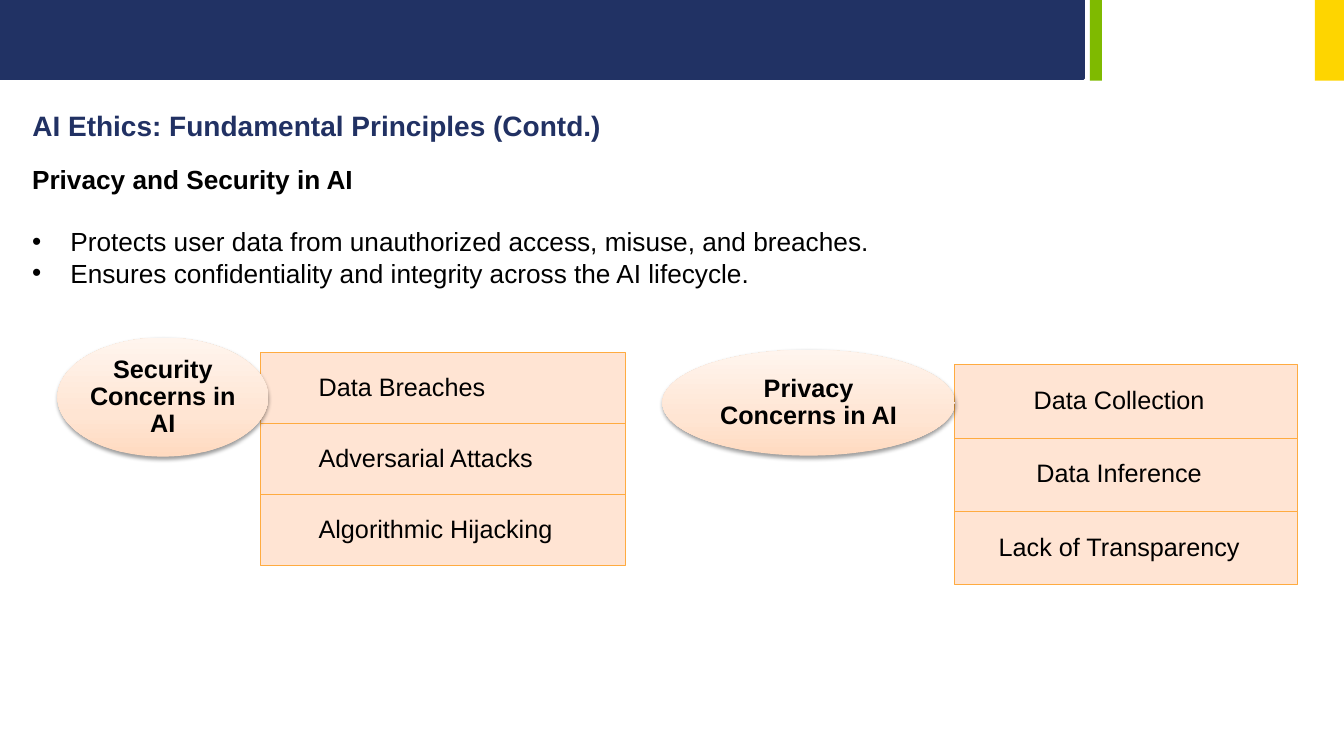
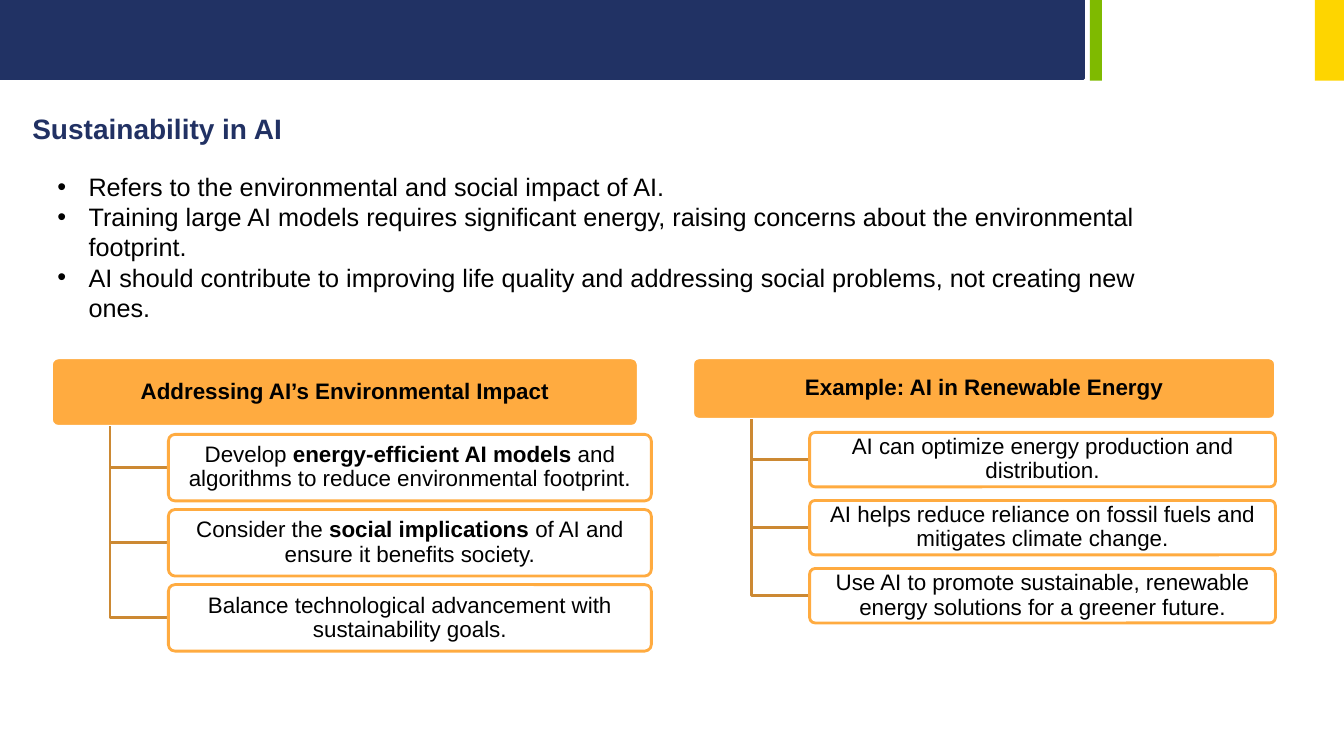
import pptx
import pptx.dml.color
import pptx.enum.shapes
import pptx.enum.text
import pptx.oxml.ns
import pptx.util
from dataclasses import dataclass
from lxml import etree

Inches, Pt = pptx.util.Inches, pptx.util.Pt
qn = pptx.oxml.ns.qn
SHAPE = pptx.enum.shapes.MSO_SHAPE
ALIGN = pptx.enum.text.PP_ALIGN
ANCHOR = pptx.enum.text.MSO_ANCHOR


@dataclass(frozen=True)
class Theme:
    font: str = "Arial"
    navy: str = "213264"
    title: str = "213163"
    green: str = "7FBA00"
    yellow: str = "FED500"
    orange: str = "FFAB40"
    branch: str = "CC8933"
    peach: str = "FFE2CF"
    white: str = "FFFFFF"
    black: str = "000000"
    oval_stops: tuple = ((0, "FFDAC0"), (35, "FFE5D3"), (100, "FFF5EE"))
    title_size: float = 20
    lead_size: float = 18.7
    body_size: float = 18
    card_size: float = 16


THEME = Theme()

# Content; boxes are left, top, width, height in inches
BANDS = [
    ((0, 0, 10.75, 0.78), THEME.navy, THEME.navy),
    ((10.81, 0, 0.12, 0.8), THEME.green, None),
    ((13.04, 0, 0.29, 0.8), THEME.yellow, None),
]

PRIVACY = {
    "title": "AI Ethics: Fundamental Principles (Contd.)",
    "title_box": (0.22, 1.03, 6.46, 0.44),
    "lead": "Privacy and Security in AI",
    "body_box": (0.22, 1.57, 11.34, 1.36),
    "indent": 0.38,
    "bullets": [
        "Protects user data from unauthorized access, misuse, and breaches.",
        "Ensures confidentiality and integrity across the AI lifecycle.",
    ],
    "concerns": [
        {"name": "Security Concerns in AI", "oval": (0.57, 3.35, 2.09, 1.18),
         "stack": (2.58, 3.5, 3.62, 2.11), "align": ALIGN.LEFT, "inset": 0.58,
         "rows": ["Data Breaches", "Adversarial Attacks", "Algorithmic Hijacking"]},
        {"name": "Privacy Concerns in AI", "oval": (6.57, 3.47, 2.9, 1.05),
         "stack": (9.47, 3.62, 3.4, 2.18), "align": ALIGN.CENTER, "inset": 0,
         "rows": ["Data Collection", "Data Inference", "Lack of Transparency"]},
    ],
}

# Double asterisks mark bold words
SUSTAINABILITY = {
    "title": "Sustainability in AI",
    "title_box": (0.22, 1.06, 8.98, 0.44),
    "body_box": (0.47, 1.65, 11.25, 1.62),
    "indent": 0.31,
    "bullets": [
        "Refers to the environmental and social impact of AI.",
        "Training large AI models requires significant energy, raising concerns "
        "about the environmental footprint.",
        "AI should contribute to improving life quality and addressing social "
        "problems, not creating new ones.",
    ],
    "trees": [
        {"name": "Addressing AI’s Environmental Impact",
         "header": (0.51, 3.55, 5.82, 0.68),
         "card_size": (4.79, 0.66), "first_top": 4.31, "last_top": 5.8,
         "cards": [
             "Develop **energy-efficient AI models** and algorithms to reduce "
             "environmental footprint.",
             "Consider the **social implications** of AI and ensure it benefits society.",
             "Balance technological advancement with sustainability goals.",
         ]},
        {"name": "Example: AI in Renewable Energy",
         "header": (6.87, 3.55, 5.78, 0.61),
         "card_size": (4.62, 0.54), "first_top": 4.29, "last_top": 5.64,
         "cards": [
             "AI can optimize energy production and distribution.",
             "AI helps reduce reliance on fossil fuels and mitigates climate change.",
             "Use AI to promote sustainable, renewable energy solutions for a "
             "greener future.",
         ]},
    ],
}
SPINE_INDENT = 0.58


# Shared helpers
def rgb(color):
    return pptx.dml.color.RGBColor.from_string(color)


def inches(box):
    return [Inches(value) for value in box]


def style(paragraph, size, color=THEME.black, bold=False):
    font = paragraph.font
    font.name, font.size, font.bold = THEME.font, Pt(size), bold
    font.color.rgb = rgb(color)


def add_box(slide, kind, box, fill=None, line=None, line_width=2.0, opacity=100):
    shape = slide.shapes.add_shape(kind, *inches(box))
    shape.shadow.inherit = False
    if fill:
        shape.fill.solid()
        shape.fill.fore_color.rgb = rgb(fill)
        if opacity < 100:
            color = shape.element.spPr.find(qn("a:solidFill"))[0]
            etree.SubElement(color, qn("a:alpha"), val=str(opacity * 1000))
    if line:
        shape.line.color.rgb = rgb(line)
        shape.line.width = Pt(line_width)
    else:
        shape.line.fill.background()
    return shape


def write_label(shape, text, size, margins, bold=False, align=ALIGN.CENTER):
    frame = shape.text_frame
    frame.word_wrap = True
    frame.vertical_anchor = ANCHOR.MIDDLE
    (frame.margin_left, frame.margin_top,
     frame.margin_right, frame.margin_bottom) = inches(margins)
    paragraph = frame.paragraphs[0]
    paragraph.alignment = align
    paragraph.line_spacing = 0.9
    style(paragraph, size, bold=bold)
    for index, part in enumerate(text.split("**")):
        run = paragraph.add_run()
        run.text = part
        if index % 2:
            run.font.bold = True


def add_body(slide, content, size):
    frame = slide.shapes.add_textbox(*inches(content["body_box"])).text_frame
    frame.word_wrap = True
    paragraph = frame.paragraphs[0]
    lead = content.get("lead")
    if lead:
        paragraph.text = lead
        style(paragraph, size, bold=True)
    for index, bullet in enumerate(content["bullets"]):
        if lead or index:
            paragraph = frame.add_paragraph()
        paragraph.text = bullet
        properties = paragraph._p.get_or_add_pPr()
        indent = Inches(content["indent"])
        properties.set("marL", str(indent))
        properties.set("indent", str(-indent))
        etree.SubElement(properties, qn("a:buFont"), typeface=THEME.font)
        etree.SubElement(properties, qn("a:buChar"), char="•")
        if lead and index == 0:
            paragraph.space_before = Pt(22)
        style(paragraph, size)


def add_titled_slide(deck, layout, content):
    slide = deck.slides.add_slide(layout)
    title = slide.shapes.title
    title.left, title.top, title.width, title.height = inches(content["title_box"])
    frame = title.text_frame
    frame.text = content["title"]
    frame.word_wrap = True
    frame.auto_size = pptx.enum.text.MSO_AUTO_SIZE.NONE
    frame.vertical_anchor = ANCHOR.TOP
    frame.paragraphs[0].alignment = ALIGN.LEFT
    style(frame.paragraphs[0], THEME.title_size, THEME.title, bold=True)
    return slide


def move_bands_to_layout(slide, layout):
    for box, fill, line in BANDS:
        band = add_box(slide, SHAPE.RECTANGLE, box, fill, line)
        layout.shapes.element.append(band.element)


# Slide parts
def add_concern(slide, concern):
    left, top, width, height = concern["stack"]
    row_height = height / len(concern["rows"])
    for index, text in enumerate(concern["rows"]):
        row = add_box(slide, SHAPE.RECTANGLE,
                      (left, top + index * row_height, width, row_height),
                      THEME.peach, THEME.orange, 0.75, opacity=90)
        write_label(row, text, THEME.body_size,
                    (concern["inset"], 0.14, 0.14, 0.14), align=concern["align"])

    oval = add_box(slide, SHAPE.OVAL, concern["oval"])
    oval.fill.gradient()
    oval.fill.gradient_angle = 90
    properties = oval.element.spPr
    stops = properties.find(".//" + qn("a:gsLst"))
    stops.clear()
    for position, color in THEME.oval_stops:
        stop = etree.SubElement(stops, qn("a:gs"), pos=str(position * 1000))
        etree.SubElement(stop, qn("a:srgbClr"), val=color)
    shadow = etree.SubElement(
        properties.find(qn("a:effectLst")), qn("a:outerShdw"),
        blurRad=str(Pt(3.1)), dist=str(Pt(1.6)), dir="5400000", rotWithShape="0")
    tint = etree.SubElement(shadow, qn("a:srgbClr"), val=THEME.black)
    etree.SubElement(tint, qn("a:alpha"), val="38000")
    write_label(oval, concern["name"], THEME.body_size, (0, 0, 0, 0), bold=True)


def add_branch(slide, spine, top, card_left, middle):
    builder = slide.shapes.build_freeform(Inches(spine), Inches(top))
    builder.add_line_segments(
        [inches((spine, middle)), inches((card_left, middle))], close=False)
    branch = builder.convert_to_shape()
    branch.shadow.inherit = False
    branch.fill.background()
    branch.line.color.rgb = rgb(THEME.branch)
    branch.line.width = Pt(2)


def add_tree(slide, tree):
    margins = (0.05, 0.04, 0.05, 0.04)
    left, top, _, height = tree["header"]
    header = add_box(slide, SHAPE.ROUNDED_RECTANGLE, tree["header"],
                     THEME.orange, THEME.white)
    header.adjustments[0] = 0.1
    write_label(header, tree["name"], THEME.card_size, margins, bold=True)

    spine = left + SPINE_INDENT
    card_left = spine + SPINE_INDENT
    card_width, card_height = tree["card_size"]
    pitch = (tree["last_top"] - tree["first_top"]) / (len(tree["cards"]) - 1)
    for index, text in enumerate(tree["cards"]):
        card_top = tree["first_top"] + index * pitch
        add_branch(slide, spine, top + height, card_left, card_top + card_height / 2)
        card = add_box(slide, SHAPE.ROUNDED_RECTANGLE,
                       (card_left, card_top, card_width, card_height),
                       THEME.white, THEME.orange, opacity=90)
        card.adjustments[0] = 0.1
        write_label(card, text, THEME.card_size, margins)


def main():
    deck = pptx.Presentation()
    deck.slide_width, deck.slide_height = Inches(13.33), Inches(7.5)
    layout = deck.slide_layouts[5]

    privacy = add_titled_slide(deck, layout, PRIVACY)
    move_bands_to_layout(privacy, layout)
    add_body(privacy, PRIVACY, THEME.lead_size)
    for concern in PRIVACY["concerns"]:
        add_concern(privacy, concern)

    sustainability = add_titled_slide(deck, layout, SUSTAINABILITY)
    add_body(sustainability, SUSTAINABILITY, THEME.body_size)
    for tree in SUSTAINABILITY["trees"]:
        add_tree(sustainability, tree)

    deck.save("out.pptx")


if __name__ == "__main__":
    main()
